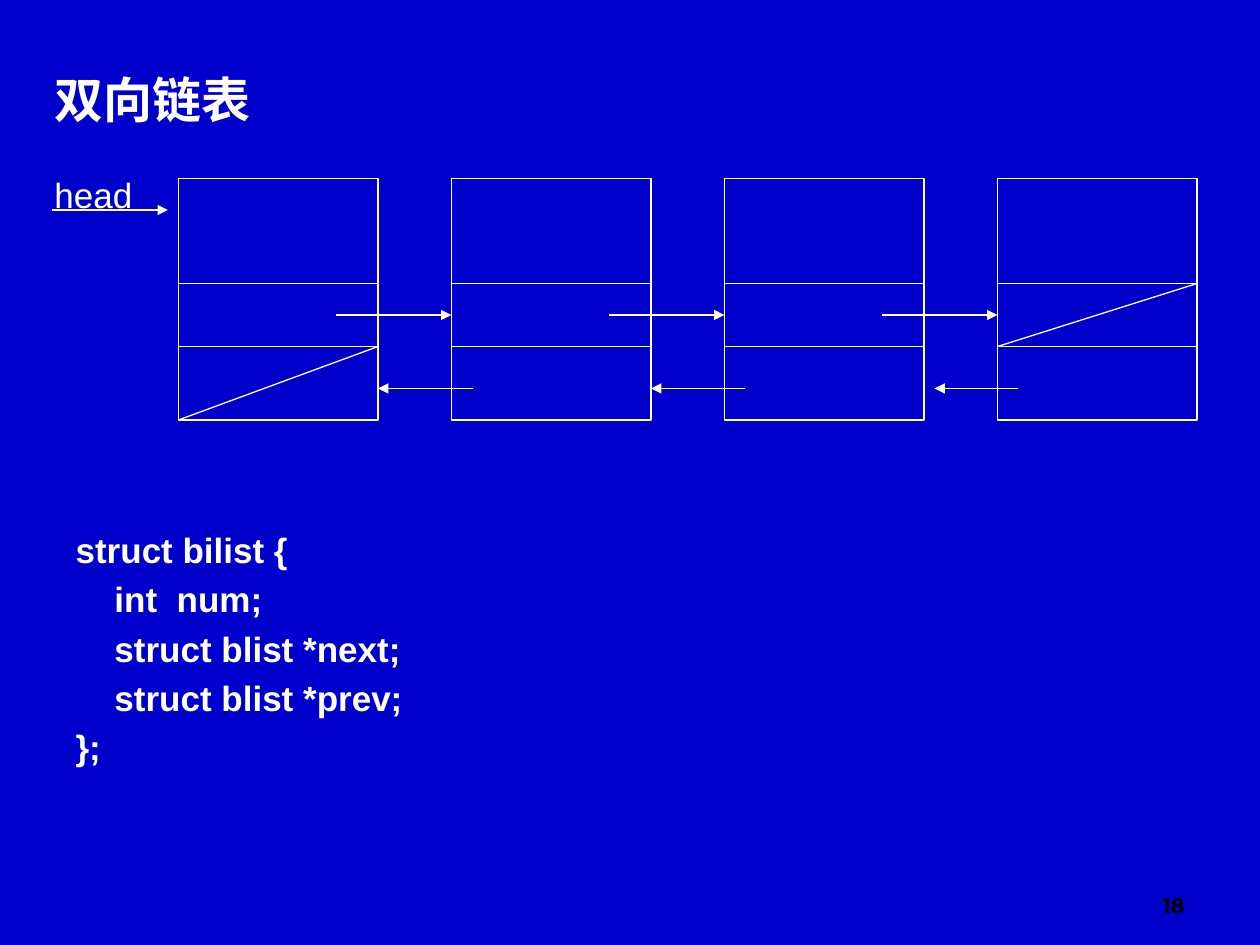
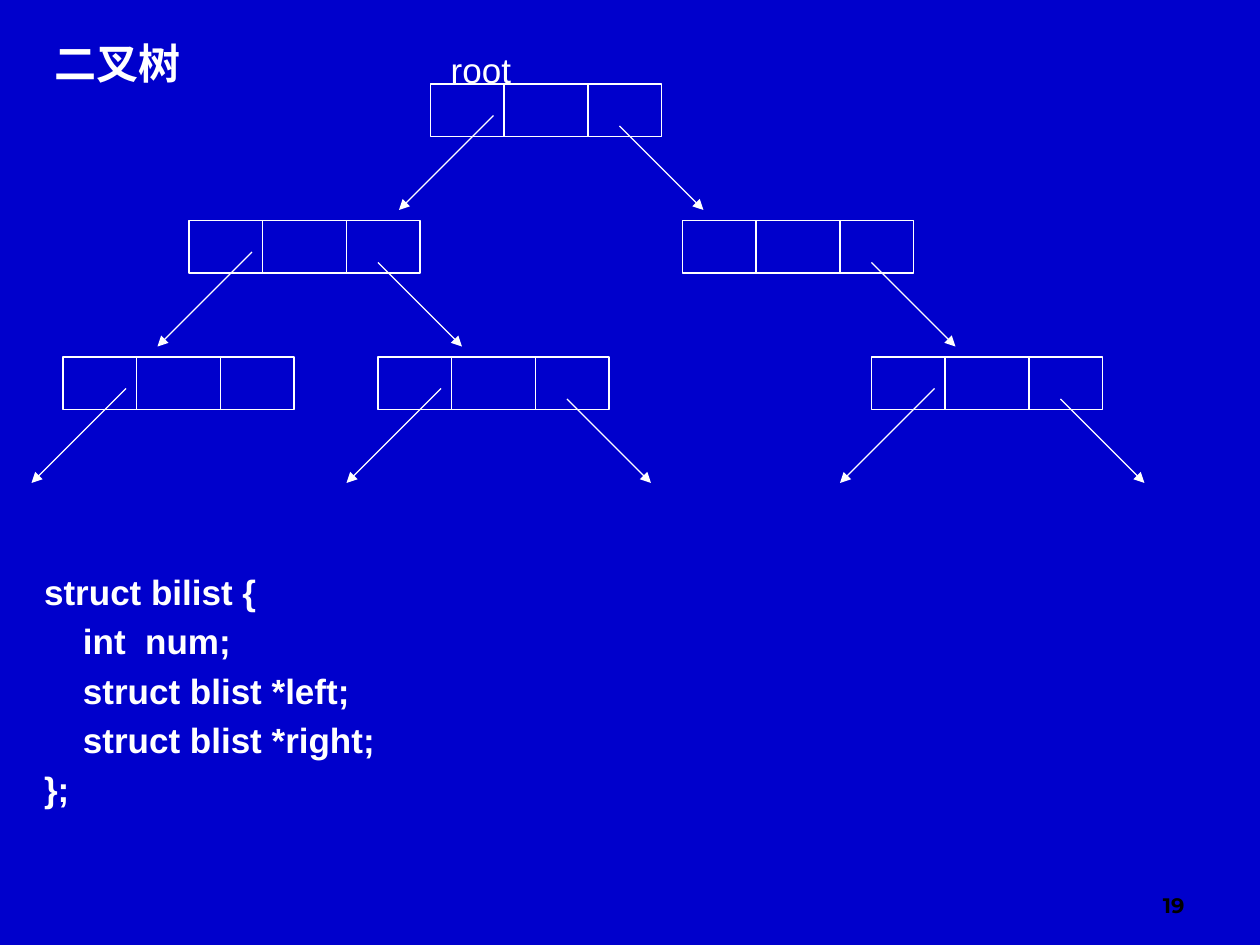
"""Build two slides on linked structures: a doubly linked list and a binary tree."""
from lxml.etree import SubElement
from pptx import Presentation
from pptx.dml.color import RGBColor
from pptx.enum.shapes import MSO_CONNECTOR, MSO_SHAPE
from pptx.enum.text import MSO_ANCHOR, MSO_AUTO_SIZE, PP_ALIGN
from pptx.oxml.ns import qn
from pptx.util import Pt

HUES = {"back": "0000CC", "ink": "FFFFFF", "page": "000000"}


def write(box, text, area, size=20, bold=True, hue="ink", font="Arial",
          align=PP_ALIGN.LEFT, anchor=MSO_ANCHOR.TOP, tight=None, gap=0):
    box.left, box.top, box.width, box.height = [Pt(v) for v in area]
    frame = box.text_frame
    frame.word_wrap = True
    frame.auto_size = MSO_AUTO_SIZE.NONE
    frame.vertical_anchor = anchor
    for num, row in enumerate(text.split("\n")):
        para = frame.add_paragraph() if num else frame.paragraphs[0]
        para.alignment = align
        para.space_before = Pt(gap)
        if tight:
            para.line_spacing = tight
        props = para._p.get_or_add_pPr()
        props.set("marL", str(Pt(22.2) if row.startswith("\t") else 0))
        props.set("indent", "0")
        SubElement(props, qn("a:buNone"))
        run = para.add_run()
        run.text = row.strip()
        run.font.size = Pt(size)
        run.font.bold = bold
        run.font.name = font
        run.font.color.rgb = RGBColor.from_string(HUES[hue])


deck = Presentation()
deck.slide_width, deck.slide_height = Pt(720), Pt(540)
fill = deck.slide_master.background.fill
fill.solid()
fill.fore_color.rgb = RGBColor.from_string(HUES["back"])

cells = [(102 + 156 * col, 102, 114, 138) for col in range(4)]
links = [(216, 198, 102, 240), (684, 162, 570, 198)]
links += [(x, y, x + 114, y) for x, *_ in cells for y in (162, 198)]
heads = [(30, 120, 96, 120)]
heads += [(x + 90, 180, x + 156, 180) for x, *_ in cells[:-1]]
heads += [(x + 12, 222, end, 222)
          for (x, *_), end in zip(cells[1:], (216, 372, 534))]

tree = [(246, 48, "LR"), (108, 126, "LR"), (390, 126, "R"),
        (36, 204, "L"), (216, 204, "LR"), (498, 204, "LR")]
nodes = [(x, y, 132, 30) for x, y, _ in tree]
bars = [(x + dx, y, x + dx, y + 30) for x, y, _ in tree for dx in (42, 90)]
arms = [(x + 36, y + 18, x - 18, y + 72) for x, y, side in tree if "L" in side]
arms += [(x + 108, y + 24, x + 156, y + 72) for x, y, side in tree if "R" in side]

pages = [
    dict(title="双向链表", area=(24, 36, 678, 54), size=28,
         label="head", spot=(24, 95.5, 80, 30),
         code="struct bilist {\n\tint  num;\n\tstruct blist *next;\n\tstruct blist *prev;\n};",
         place=(36, 306, 666, 163), boxes=cells, width=1, lines=links, arrows=heads),
    dict(title="二叉树", area=(24, 18, 200, 42), size=24,
         label="root", spot=(250.5, 24, 80, 30),
         code="struct bilist {\n\tint  num;\n\tstruct blist *left;\n\tstruct blist *right;\n};",
         place=(18, 330, 666, 136), boxes=nodes, width=0.75, lines=bars, arrows=arms),
]

for num, page in enumerate(pages, 18):
    slide = deck.slides.add_slide(deck.slide_layouts[1])
    shapes = slide.shapes
    write(shapes.title, page["title"], page["area"], size=page["size"])
    write(slide.placeholders[1], page["code"], page["place"], tight=0.65, gap=12.5)
    write(shapes.add_textbox(0, 0, 0, 0), page["label"], page["spot"], bold=False)
    write(shapes.add_textbox(0, 0, 0, 0), str(num), (516, 492, 168, 36), size=12,
          hue="page", font="Montserrat", align=PP_ALIGN.RIGHT, anchor=MSO_ANCHOR.BOTTOM)
    for area in page["boxes"]:
        box = shapes.add_shape(MSO_SHAPE.RECTANGLE, *[Pt(v) for v in area])
        box.shadow.inherit = False
        box.fill.background()
        box.line.color.rgb = RGBColor.from_string(HUES["ink"])
        box.line.width = Pt(page["width"])
    for ends in page["lines"] + page["arrows"]:
        link = shapes.add_connector(MSO_CONNECTOR.STRAIGHT, *[Pt(v) for v in ends])
        link.line.color.rgb = RGBColor.from_string(HUES["ink"])
        link.line.width = Pt(0.75)
        if ends in page["arrows"]:
            SubElement(link.line._get_or_add_ln(), qn("a:tailEnd"), type="triangle")
        SubElement(link._element.spPr, qn("a:effectLst"))

deck.save("out.pptx")
